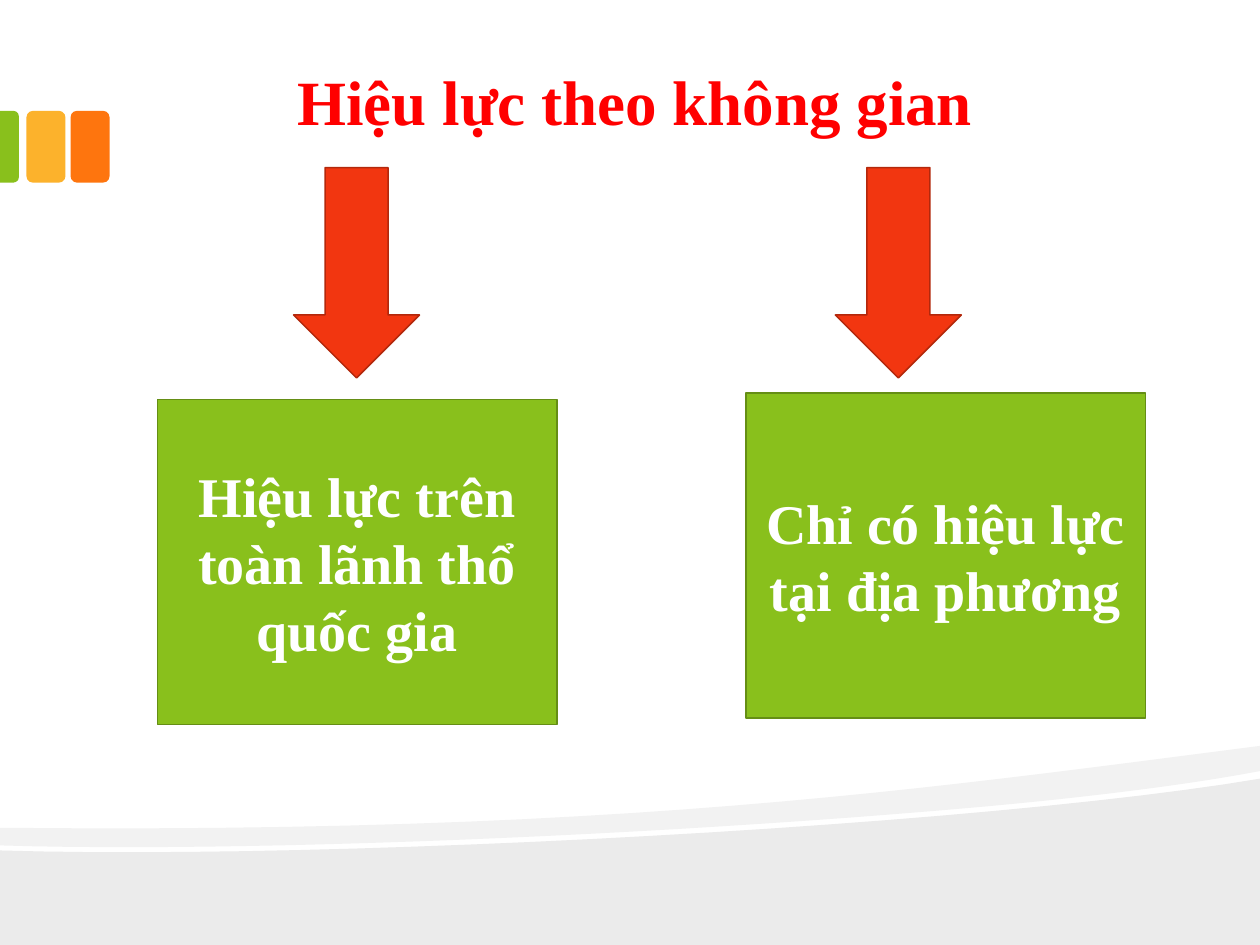
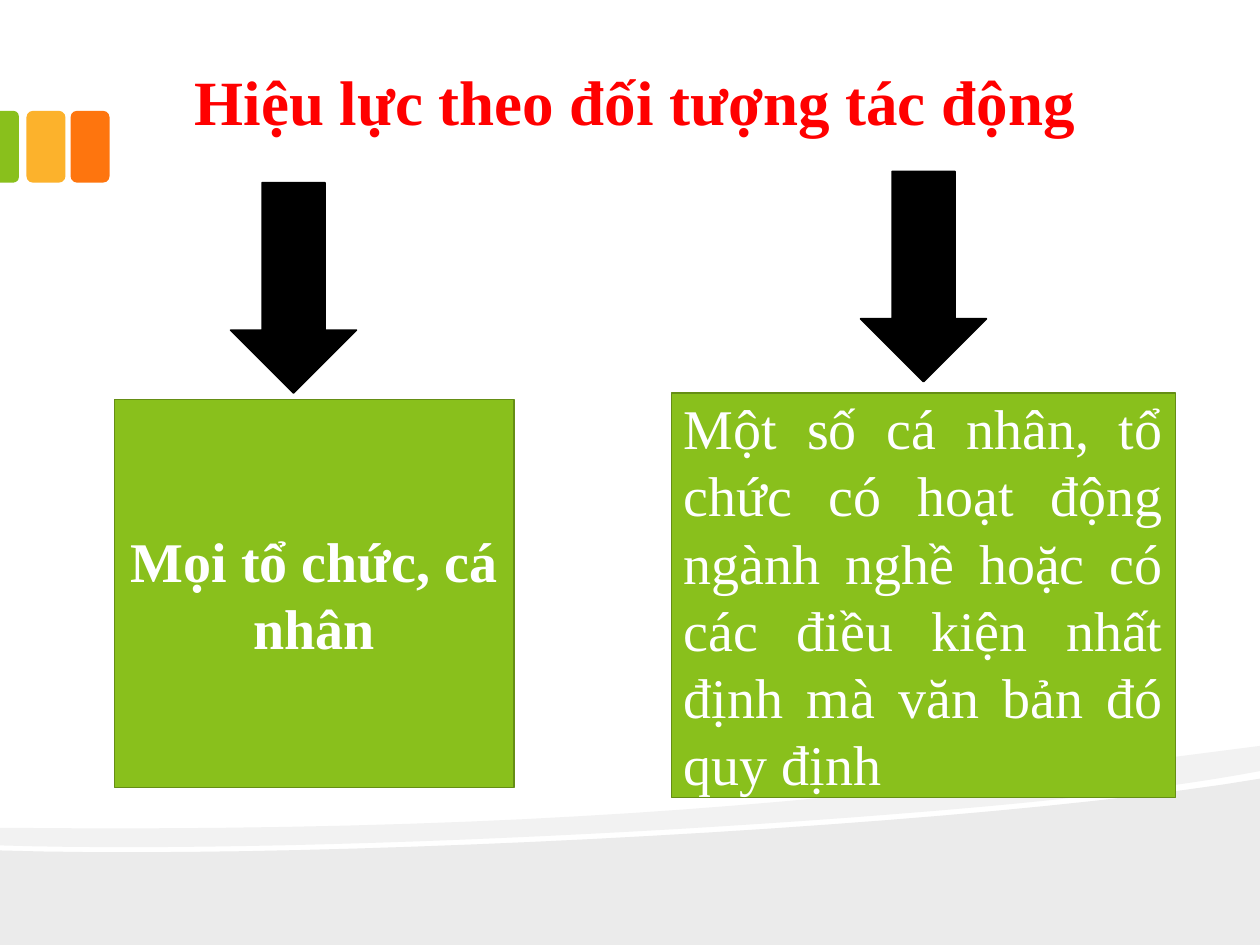
from pptx import Presentation
from pptx.dml.color import RGBColor
from pptx.enum import shapes, text
from pptx.util import Inches, Pt

FONT = "Times New Roman"
COLORS = {
    "title": "FF0000",
    "white": "FFFFFF",
    "green": "89C01C",
    "green_edge": "658E15",
    "yellow": "FCB22C",
    "orange": "FE750E",
    "red": "F23610",
    "red_edge": "B3280C",
    "black": "000000",
    "ground": "EBEBEB",
    "ribbon": "F2F2F2",
}
KINDS = shapes.MSO_SHAPE
CENTER = text.PP_ALIGN.CENTER
JUSTIFY = text.PP_ALIGN.JUSTIFY

GROUND = [
    [(10, 6.18)], [(10, 7.5)], [(0, 7.5)], [(0, 6.75)],
    [(2.64, 6.83), (7.82, 6.55), (10, 6.18)],
]
RIBBON = [
    [(10, 5.92)], [(10, 6.12)],
    [(9.42, 6.23), (8.62, 6.33), (7.72, 6.41)],
    [(5.23, 6.63), (1.93, 6.77), (0, 6.71)],
    [(0, 6.57)],
    [(4.89, 6.62), (7.28, 6.27), (10, 5.92)],
]


def color(name):
    return RGBColor.from_string(COLORS[name])


def apply(target, values):
    for name, value in values.items():
        setattr(target, name, value)


def paint(shape, fill, edge=None):
    shape.shadow.inherit = False
    shape.fill.solid()
    shape.fill.fore_color.rgb = color(fill)
    if edge:
        shape.line.color.rgb = color(edge)
        shape.line.width = Pt(0.85)
    else:
        shape.line.fill.background()


def add_preset(page, kind, place, fill, edge=None):
    shape = page.shapes.add_shape(kind, *map(Inches, place))
    paint(shape, fill, edge)
    return shape


def curve_points(start, controls, steps=24):
    first, second, end = controls
    for step in range(1, steps + 1):
        t = step / steps
        yield tuple(
            (1 - t) ** 3 * a + 3 * (1 - t) ** 2 * t * b + 3 * (1 - t) * t ** 2 * c + t ** 3 * d
            for a, b, c, d in zip(start, first, second, end)
        )


def add_wave(page, segments, fill):
    points = []
    for segment in segments:
        points += segment if len(segment) == 1 else curve_points(points[-1], segment)
    corners = [(Inches(x), Inches(y)) for x, y in points]
    builder = page.shapes.build_freeform(*corners[0])
    builder.add_line_segments(corners[1:], close=True)
    paint(builder.convert_to_shape(), fill)


def add_backdrop(page):
    add_wave(page, GROUND, "ground")
    add_wave(page, RIBBON, "ribbon")
    for left, fill in ((0.56, "orange"), (0.21, "yellow")):
        add_preset(page, KINDS.ROUNDED_RECTANGLE, (left, 0.88, 0.31, 0.57), fill)
    tab = add_preset(page, KINDS.ROUND_2_SAME_RECTANGLE, (-0.21, 1.09, 0.57, 0.15), "green")
    tab.rotation = 90
    tab.adjustments[0] = 0.292


def write(box, words, size, ink, bold=True, align=CENTER, **frame):
    apply(box.text_frame, {"word_wrap": True, **frame})
    para = box.text_frame.paragraphs[0]
    para.alignment = align
    span = para.add_run()
    span.text = words
    apply(span.font, {"name": FONT, "size": Pt(size), "bold": bold})
    span.font.color.rgb = color(ink)


def add_title(page, words):
    box = page.shapes.add_textbox(*map(Inches, (0.91, 0.45, 8.26, 0.71)))
    write(box, words, 36, "title", auto_size=text.MSO_AUTO_SIZE.SHAPE_TO_FIT_TEXT)


def add_card(page, place, words, **style):
    box = add_preset(page, KINDS.RECTANGLE, place, "green", "green_edge")
    write(box, words, 32, "white", vertical_anchor=text.MSO_ANCHOR.MIDDLE, **style)


def add_arrow(page, left, top, fill, edge):
    add_preset(page, KINDS.DOWN_ARROW, (left, top, 1, 1.67), fill, edge)


def add_page(deck, title):
    page = deck.slides.add_slide(deck.slide_layouts[6])
    add_backdrop(page)
    add_title(page, title)
    return page


def main():
    deck = Presentation()
    apply(deck, {"slide_width": Inches(10), "slide_height": Inches(7.5)})

    page = add_page(deck, "Hiệu lực theo không gian")
    add_card(page, (1.25, 3.17, 3.17, 2.58), "Hiệu lực trên toàn lãnh thổ quốc gia")
    add_card(page, (5.92, 3.12, 3.17, 2.58), "Chỉ có hiệu lực tại địa phương")
    for left in (2.33, 6.63):
        add_arrow(page, left, 1.33, "red", "red_edge")

    page = add_page(deck, "Hiệu lực theo đối tượng tác động")
    add_card(page, (0.91, 3.17, 3.17, 3.08), "Mọi tổ chức, cá nhân")
    add_card(
        page,
        (5.33, 3.12, 4, 3.21),
        "Một số cá nhân, tổ chức có hoạt động ngành nghề hoặc có "
        "các điều kiện nhất định mà văn bản đó quy định",
        bold=False,
        align=JUSTIFY,
    )
    for left, top in ((1.83, 1.45), (6.83, 1.36)):
        add_arrow(page, left, top, "black", "black")

    deck.save("out.pptx")


if __name__ == "__main__":
    main()
